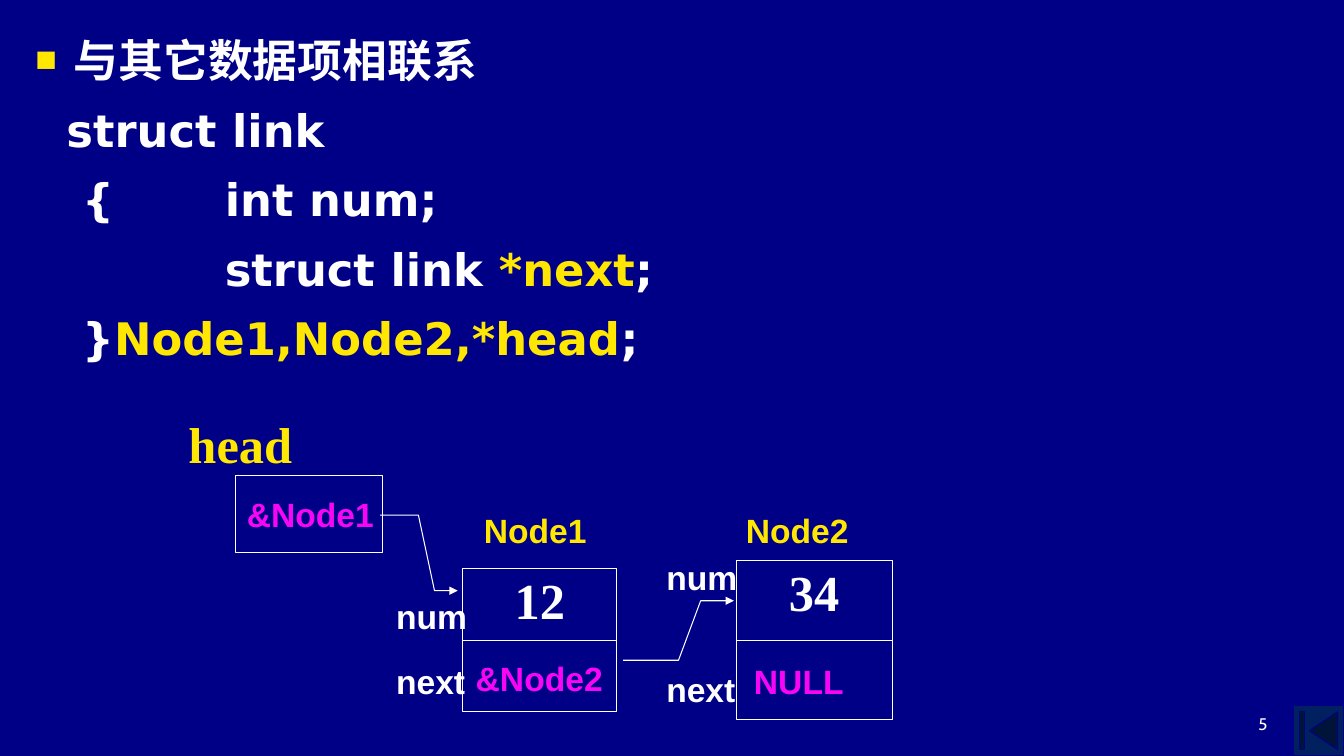
import pptx
import pptx.dml.color
import pptx.enum.shapes
import pptx.enum.text
import pptx.oxml
import pptx.oxml.ns
import pptx.util
from pptx.util import Inches

RGBColor = pptx.dml.color.RGBColor
SHAPE = pptx.enum.shapes.MSO_SHAPE
ALIGN = pptx.enum.text.PP_ALIGN
ANCHOR = pptx.enum.text.MSO_ANCHOR

NAVY = RGBColor(0x00, 0x00, 0x86)
BUTTON_BLUE = RGBColor(0x00, 0x20, 0x60)
WHITE = RGBColor(0xFF, 0xFF, 0xFF)
YELLOW = RGBColor(0xFF, 0xE7, 0x01)
MAGENTA = RGBColor(0xF9, 0x05, 0xF6)

HEADING = "与其它数据项相联系"
CODE_LINES = [
    [("  struct link", WHITE)],
    [("   { \t\tint num;", WHITE)],
    [("      \t\tstruct link ", WHITE), ("*next", YELLOW), (";", WHITE)],
    [("   }", WHITE), ("Node1,Node2,*head", YELLOW), (";", WHITE)],
]


def add_span(para, text, font="Arial", size=24, color=WHITE, bold=True):
    span = para.add_run()
    span.text = text
    span.font.name = font
    span.font.size = pptx.util.Pt(size)
    span.font.bold = bold
    span.font.color.rgb = color


def fill_frame(frame, text, inset=None, align=ALIGN.LEFT, anchor=ANCHOR.TOP, **style):
    frame.word_wrap = True
    frame.vertical_anchor = anchor
    if inset is not None:
        frame.margin_left = frame.margin_right = Inches(inset)
        frame.margin_top = frame.margin_bottom = Inches(inset)
    para = frame.paragraphs[0]
    para.alignment = align
    add_span(para, text, **style)


def add_label(shapes, text, left, top, width, height=0.5, **style):
    box = shapes.add_textbox(Inches(left), Inches(top), Inches(width), Inches(height))
    fill_frame(box.text_frame, text, **style)


def add_cell(shapes, left, top, width, height):
    cell = shapes.add_shape(SHAPE.RECTANGLE, Inches(left), Inches(top),
                            Inches(width), Inches(height))
    cell.shadow.inherit = False
    cell.fill.background()
    cell.line.color.rgb = WHITE
    cell.line.width = pptx.util.Pt(0.75)
    return cell


def add_pointer(shapes, points):
    """Draw a bent open line ending in an arrowhead."""
    start, *rest = [(Inches(x), Inches(y)) for x, y in points]
    builder = shapes.build_freeform(*start)
    builder.add_line_segments(rest, close=False)
    arrow = builder.convert_to_shape()
    arrow.shadow.inherit = False
    arrow.fill.background()
    arrow.line.color.rgb = WHITE
    arrow.line.width = pptx.util.Pt(0.75)
    tail = pptx.oxml.parse_xml(
        f'<a:tailEnd {pptx.oxml.ns.nsdecls("a")} type="triangle" w="med" len="med"/>')
    arrow.line._get_or_add_ln().append(tail)


def format_paragraph(para, elements, first):
    properties = para._p.get_or_add_pPr()
    properties.set("marL", str(Inches(0.38)))
    properties.set("indent", str(-Inches(0.38)))
    for element in elements:
        properties.append(pptx.oxml.parse_xml(
            element.replace("/>", f' {pptx.oxml.ns.nsdecls("a")}/>', 1)
            if element.endswith("/>") and element.count("<") == 1
            else element.replace(">", f' {pptx.oxml.ns.nsdecls("a")}>', 1)))
    para.line_spacing = 1.1
    para.space_before = pptx.util.Pt(0 if first else 7.5)


def add_struct_listing(page, left, top, width, height):
    body = page.placeholders[1]
    body.left, body.top = Inches(left), Inches(top)
    body.width, body.height = Inches(width), Inches(height)
    frame = body.text_frame
    frame.auto_size = pptx.enum.text.MSO_AUTO_SIZE.NONE
    square = [f'<a:buClr><a:srgbClr val="{YELLOW}"/></a:buClr>',
              '<a:buSzPct val="80000"/>', '<a:buFont typeface="Arial"/>',
              '<a:buChar char="■"/>']
    stops = "".join(f'<a:tab pos="{Inches(stop)}" algn="l"/>' for stop in (1.38, 2.38))
    plain = ["<a:buNone/>", f"<a:tabLst>{stops}</a:tabLst>"]
    for index, spans in enumerate([[(HEADING, WHITE)]] + CODE_LINES):
        para = frame.paragraphs[0] if index == 0 else frame.add_paragraph()
        format_paragraph(para, plain if index else square, first=index == 0)
        for text, color in spans:
            add_span(para, text, font="DejaVu Sans", size=32, color=color)


def add_head(page, left, top, width, height):
    shapes = page.shapes.add_group_shape().shapes
    add_cell(shapes, left, top, width, height)
    add_label(shapes, "head", left - 0.48, top - 0.63, 1.1, 0.47, inset=0.01,
              font="Times New Roman", size=36, color=YELLOW)
    add_label(page.shapes, "&Node1", left + 0.01, top + 0.13, 1.67, color=MAGENTA)


def add_node(page, left, top, width, row, name, number, link, offsets):
    """Two stacked cells; offsets place each label from the node's corner."""
    shapes = page.shapes.add_group_shape().shapes
    number_cell = add_cell(shapes, left, top, width, row)
    fill_frame(number_cell.text_frame, number, inset=0.01, align=ALIGN.CENTER,
               font="Times New Roman", size=36)
    add_cell(shapes, left, top + row, width, row)
    labels = [(shapes, name, 1.57, YELLOW), (shapes, "num", 0.95, WHITE),
              (shapes, "next", 0.95, WHITE), (page.shapes, link, 1.5, MAGENTA)]
    for (target, text, label_width, color), (across, down) in zip(labels, offsets):
        add_label(target, text, left + across, top + down, label_width, color=color)


def add_footer(page, left, top, width, height):
    add_label(page.shapes, "5", left, top, width, height, align=ALIGN.RIGHT,
              anchor=ANCHOR.BOTTOM, font="Cabin", size=12, bold=False)
    button = page.shapes.add_shape(SHAPE.ACTION_BUTTON_BEGINNING, Inches(12.83),
                                   Inches(7), Inches(0.5), Inches(0.5))
    button.shadow.inherit = False
    button.fill.solid()
    button.fill.fore_color.rgb = BUTTON_BLUE
    button.line.color.rgb = NAVY
    button.line.width = pptx.util.Pt(0.75)


def main():
    deck = pptx.Presentation()
    deck.slide_width, deck.slide_height = Inches(13.33), Inches(7.5)
    page = deck.slides.add_slide(deck.slide_layouts[1])
    page.background.fill.solid()
    page.background.fill.fore_color.rgb = NAVY
    title = page.shapes.title.element
    title.getparent().remove(title)

    add_footer(page, 9.56, 6.83, 3.11, 0.5)
    add_struct_listing(page, 0.25, 0.22, 9.49, 3.68)
    add_head(page, 2.34, 4.72, 1.45, 0.76)
    add_pointer(page.shapes, [(3.77, 5.11), (4.15, 5.11), (4.31, 5.86), (4.54, 5.86)])
    add_pointer(page.shapes, [(6.18, 6.55), (6.73, 6.55), (6.95, 5.96), (7.28, 5.96)])
    add_node(page, 4.59, 5.64, 1.53, 0.71, "Node1", "12", "&Node2",
             [(0.11, -0.63), (-0.76, 0.22), (-0.76, 0.87), (0.03, 0.84)])
    add_node(page, 7.3, 5.56, 1.55, 0.79, "Node2", "34", "NULL",
             [(0, -0.55), (-0.79, -0.08), (-0.79, 1.03), (0.08, 0.95)])
    deck.save("out.pptx")


if __name__ == "__main__":
    main()
